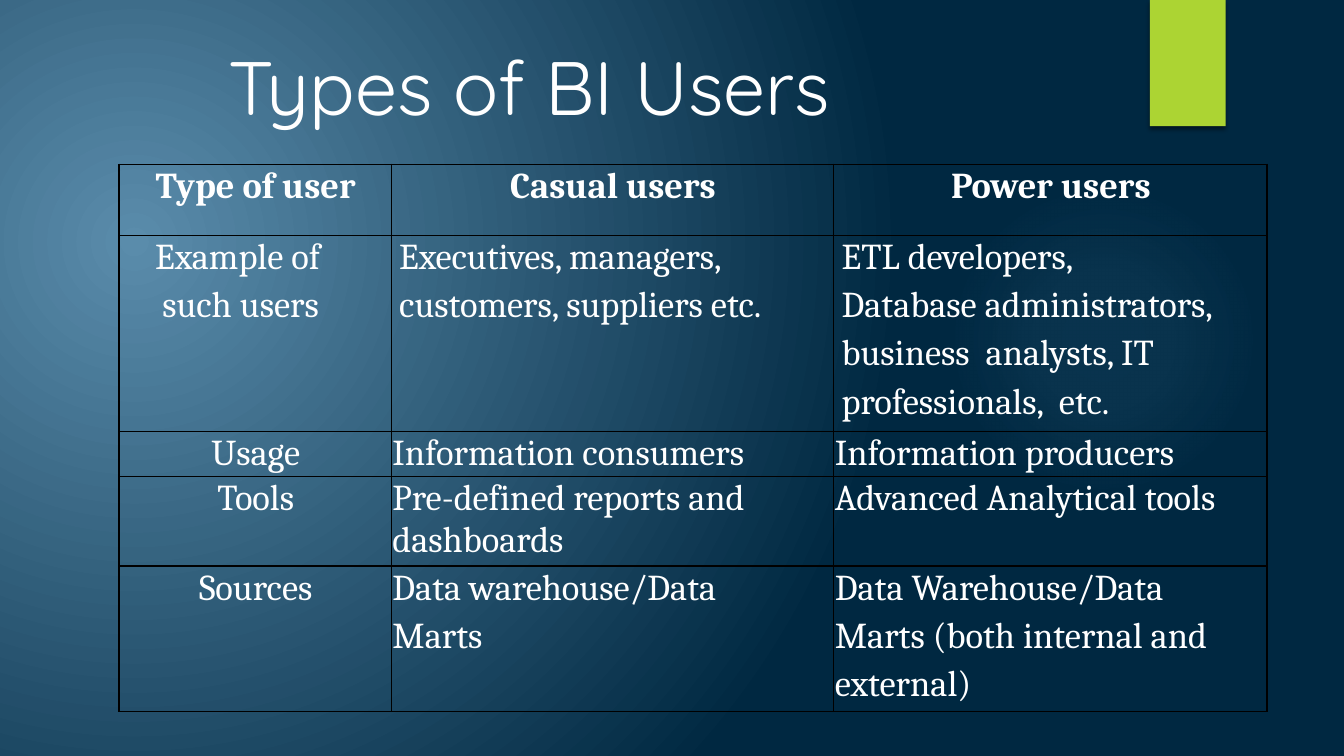
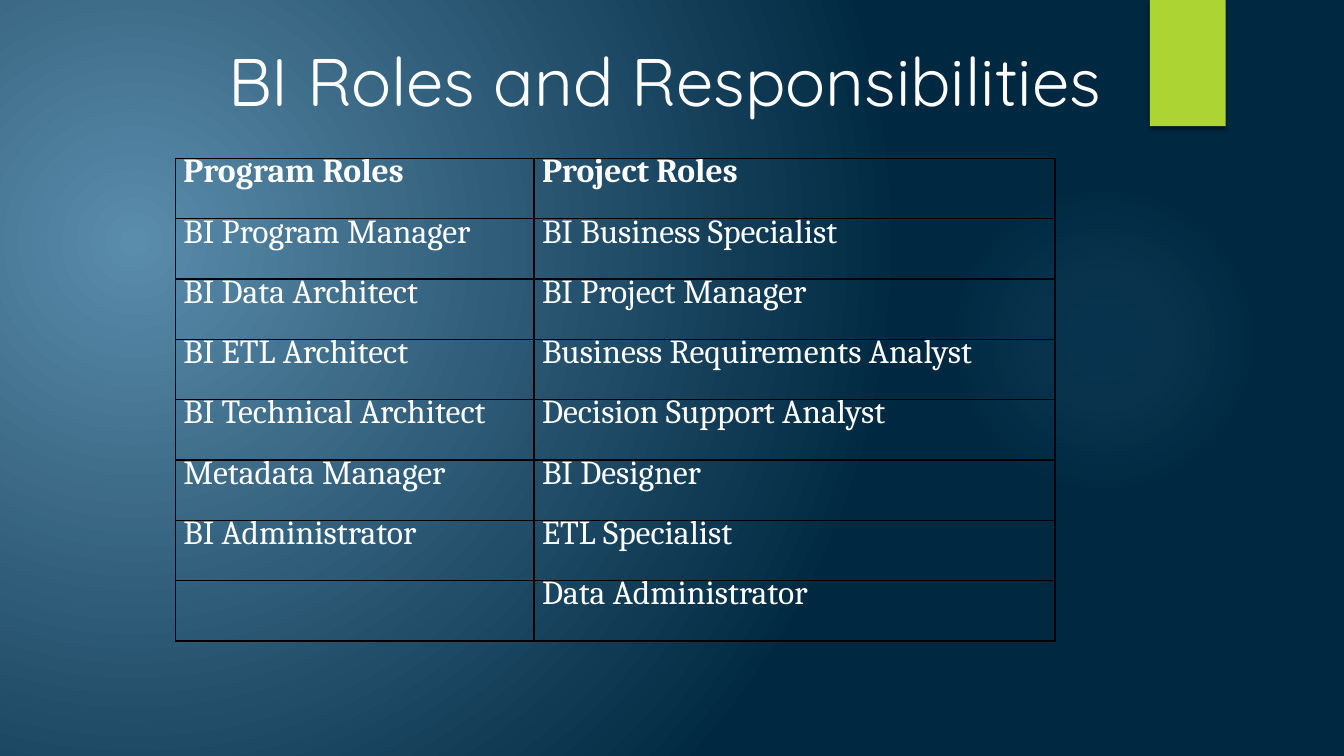
import dataclasses

import pptx
import pptx.dml.color
import pptx.enum.shapes
import pptx.enum.text
import pptx.oxml
import pptx.oxml.ns
import pptx.util

Cm, Pt = pptx.util.Cm, pptx.util.Pt
ALIGN = pptx.enum.text.PP_ALIGN
SHAPE = pptx.enum.shapes.MSO_SHAPE
NS = pptx.oxml.ns.nsdecls("a")
qn = pptx.oxml.ns.qn


@dataclasses.dataclass(frozen=True)
class Theme:
    text: str = "FFFFFF"
    line: str = "000000"
    tab: str = "ACD433"
    # Stops: position in percent, colour, opacity in percent
    back: tuple = ((0, "5A8CAB", 100), (100, "002841", 100))
    glow: tuple = ((0, "7AC4F0", 7), (36, "7AC4F0", 6), (69, "7AC4F0", 0))
    head: str = "Quicksand"
    body: str = "Cambria"
    big: int = 54
    title: int = 48
    large: int = 26
    small: int = 24
    rule: int = 1


def put(item, form):
    """Set each attribute named in form."""
    for name, value in form.items():
        setattr(item, name, value)


def rgb(code):
    return pptx.dml.color.RGBColor.from_string(code)


def blend(host, fill, stops, rect):
    """Give host a circular gradient centred by the insets l, t, r, b."""
    fill.gradient()
    marks = "".join(
        f'<a:gs pos="{pos * 1000}"><a:srgbClr val="{code}">'
        f'<a:alpha val="{alpha * 1000}"/></a:srgbClr></a:gs>'
        for pos, code, alpha in stops)
    sides = " ".join(f'{side}="{size * 1000}"' for side, size in zip("ltrb", rect))
    new = pptx.oxml.parse_xml(
        f'<a:gradFill {NS} rotWithShape="1"><a:gsLst>{marks}</a:gsLst>'
        f'<a:path path="circle"><a:fillToRect {sides}/></a:path></a:gradFill>')
    old = next(host.element.iter(qn("a:gradFill")))
    old.getparent().replace(old, new)


class Deck:
    def __init__(self, theme):
        self.theme = theme
        self.file = pptx.Presentation()
        put(self.file, {"slide_width": Cm(33.87), "slide_height": Cm(19.05)})
        base = self.file.slide_master
        blend(base, base.background.fill, theme.back, (45, 65, 125, 100))

    def start(self):
        """Start a slide with the glow and the corner tab."""
        self.slide = self.file.slides.add_slide(self.file.slide_layouts[5])
        glow = self.shape(SHAPE.OVAL, 23.9, 4.65, 7.82, 7.82)
        blend(glow, glow.fill, self.theme.glow, (50, 50, 50, 50))
        tab = self.shape(SHAPE.RECTANGLE, 28.98, 0, 1.91, 3.18)
        tab.fill.solid()
        tab.fill.fore_color.rgb = rgb(self.theme.tab)
        tab.element.spPr.find(qn("a:effectLst")).append(pptx.oxml.parse_xml(
            f'<a:outerShdw {NS} blurRad="{Pt(3)}" dist="{Pt(2)}" dir="5400000">'
            '<a:srgbClr val="000000"><a:alpha val="45000"/></a:srgbClr>'
            '</a:outerShdw>'))

    def shape(self, kind, *box):
        item = self.slide.shapes.add_shape(kind, *map(Cm, box))
        item.shadow.inherit = False
        item.line.fill.background()
        return item

    def format(self, para, face, size, bold=False, indent=0, **form):
        """Format a paragraph and its runs; indent is in cm."""
        put(para, form)
        para._p.get_or_add_pPr().set("marL", str(Cm(indent)))
        for run in para.runs:
            put(run.font, {"name": face, "size": Pt(size), "bold": bold})
            run.font.color.rgb = rgb(self.theme.text)

    def title(self, text, size, wide, high):
        item = self.slide.shapes.title
        put(item, {"left": Cm(5.72), "top": Cm(0.97),
                   "width": Cm(wide), "height": Cm(high)})
        frame = item.text_frame
        frame.text = text
        put(frame, {"margin_left": 0, "margin_right": 0, "margin_bottom": 0,
                    "margin_top": Cm(0.03), "word_wrap": True,
                    "vertical_anchor": pptx.enum.text.MSO_ANCHOR.TOP,
                    "auto_size": pptx.enum.text.MSO_AUTO_SIZE.SHAPE_TO_FIT_TEXT})
        self.format(frame.paragraphs[0], self.theme.head, size, indent=0.03,
                    alignment=ALIGN.LEFT, space_before=Pt(1))

    def table(self, left, top, cols, rows, data, size, style, pad=0):
        """Draw data; style(row, col, line) gives each paragraph's format."""
        box = map(Cm, (left, top, sum(cols), sum(rows)))
        grid = self.slide.shapes.add_table(len(rows), len(cols), *box).table
        put(grid, {"first_row": False, "horz_banding": False})
        for col, wide in zip(grid.columns, cols):
            col.width = Cm(wide)
        for row, high in zip(grid.rows, rows):
            row.height = Cm(high)
        for r, words in enumerate(data):
            for c, text in enumerate(words):
                cell = grid.cell(r, c)
                put(cell, {"margin_left": 0, "margin_right": 0,
                           "margin_top": Cm(pad), "margin_bottom": 0})
                cell.text_frame.text = text
                for n, para in enumerate(cell.text_frame.paragraphs):
                    self.format(para, self.theme.body, size, bold=r == 0,
                                **style(r, c, n))
                self.frame(cell)

    def frame(self, cell):
        """Clear the cell's fill and rule its four sides."""
        props = cell._tc.get_or_add_tcPr()
        for side in "LRTB":
            props.append(pptx.oxml.parse_xml(
                f'<a:ln{side} {NS} w="{Pt(self.theme.rule)}"><a:solidFill>'
                f'<a:srgbClr val="{self.theme.line}"/></a:solidFill></a:ln{side}>'))
        cell.fill.background()


USERS = (
    ("Type of user", "Casual users", "Power users"),
    ("Example of\nsuch users",
     "Executives, managers,\ncustomers, suppliers etc.",
     "ETL developers,\nDatabase administrators, business  analysts, IT "
     "professionals,  etc."),
    ("Usage", "Information consumers", "Information producers"),
    ("Tools", "Pre-defined reports and dashboards", "Advanced Analytical tools"),
    ("Sources", "Data warehouse/Data\nMarts",
     "Data Warehouse/Data\nMarts (both internal and external)"),
)

ROLES = (
    ("Program Roles", "Project Roles"),
    ("BI Program Manager", "BI Business Specialist"),
    ("BI Data Architect", "BI Project Manager"),
    ("BI ETL Architect", "Business Requirements Analyst"),
    ("BI Technical Architect", "Decision Support Analyst"),
    ("Metadata Manager", "BI Designer"),
    ("BI Administrator", "ETL Specialist"),
    ("", "Data Administrator"),
)


def user(row, col, line):
    """Centre the heads and labels; indent the row of examples."""
    form = {"line_spacing": 1.15} if line else {"space_before": Pt(0.8)}
    if row == 1:
        form["indent"] = 0.2 if col else (0.91, 1.09)[line]
    else:
        form["indent"] = 0.03
        if row == 0 or col == 0:
            form["alignment"] = ALIGN.CENTER
    return form


def role(row, col, line):
    return {"indent": 0.2, "line_spacing": Pt(23.4)}


def main():
    theme = Theme()
    deck = Deck(theme)

    deck.start()
    deck.title("Types of BI Users", theme.big, 19.38, 2.34)
    deck.table(3, 4.14, (6.86, 11.15, 10.92), (1.8, 4.88, 1.14, 2.26, 3.66),
               USERS, theme.large, user, pad=0.03)

    deck.start()
    deck.title("BI Roles and Responsibilities", theme.title, 22.71, 2.08)
    deck.table(4.42, 3.99, (9.04, 13.13), (1.52,) * len(ROLES),
               ROLES, theme.small, role)

    deck.file.save("out.pptx")


if __name__ == "__main__":
    main()
